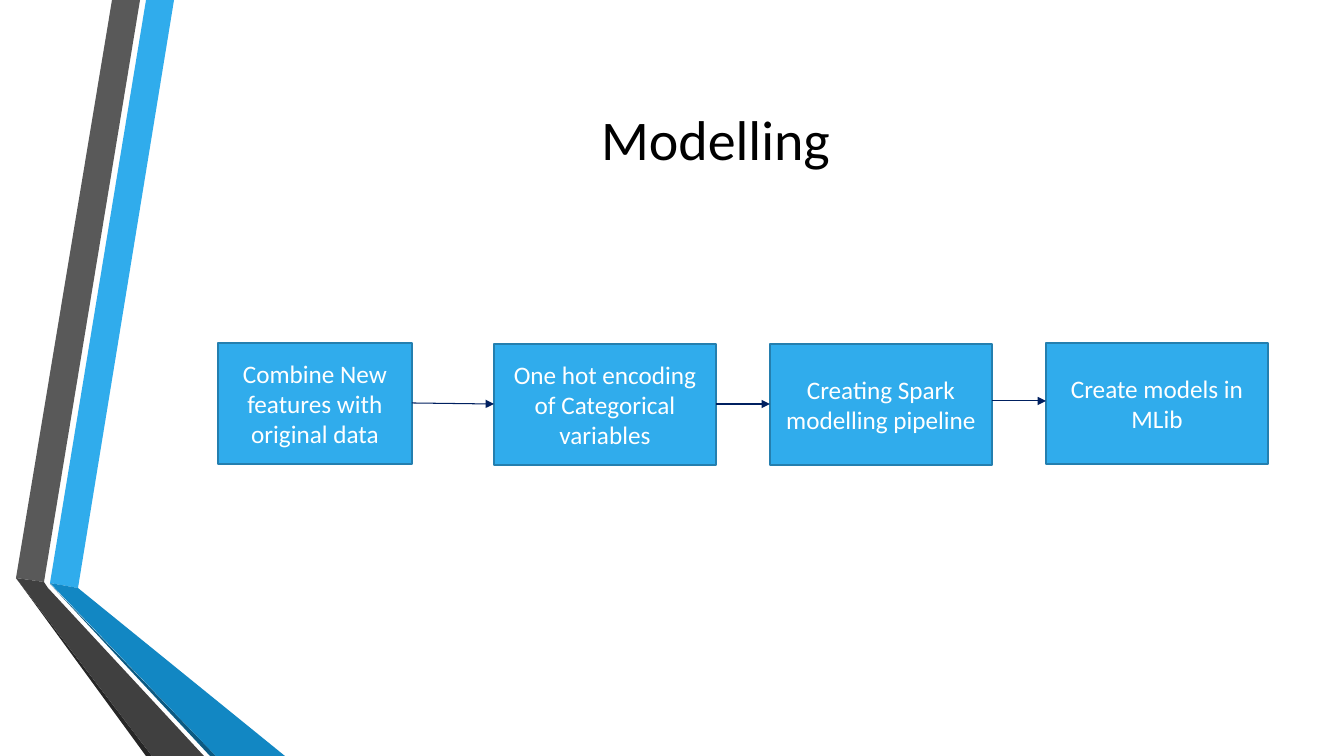
from pptx import Presentation
from pptx.dml.color import RGBColor
from pptx.enum.shapes import MSO_CONNECTOR, MSO_SHAPE
from pptx.enum.text import MSO_ANCHOR, PP_ALIGN
from pptx.oxml.ns import qn
from pptx.util import Pt
from lxml.etree import SubElement

SCALE = 914400 / 100.8
COLORS = {
    "sky": "30ACEC", "blue": "1287C3", "navy": "0C5A82", "edge": "247FAF",
    "gray": "595959", "dark": "404040", "coal": "262626",
    "arrow": "002060", "black": "000000", "white": "FFFFFF",
}
BANDS = [
    ("sky", [(50, 583), (78, 588), (174, 0), (146, 0)]),
    ("gray", [(140, 0), (112, 0), (16, 578), (44, 582)]),
    ("coal", [(16, 578), (146, 756), (152, 756)]),
    ("navy", [(50, 584), (210, 756), (216, 756)]),
    ("blue", [(50, 583), (216, 756), (285, 756), (78, 588)]),
    ("dark", [(16, 578), (152, 756), (204, 756), (48, 588), (44, 582)]),
]
STEPS = [
    ("Combine New features with original data", 194, 0),
    ("One hot encoding of Categorical variables", 222, 1),
    ("Creating Spark modelling pipeline", 222, 1),
    ("Create models in MLib", 222, 0),
]
LINKS = [(60, 61), (61, 61), (58, 58)]


def px(*sizes):
    return [round(size * SCALE) for size in sizes]


def color(name):
    return RGBColor.from_string(COLORS[name])


def write(shape, text, size, tone):
    frame = shape.text_frame
    frame.word_wrap = True
    frame.vertical_anchor = MSO_ANCHOR.MIDDLE
    para = frame.paragraphs[0]
    para.text = text
    para.alignment = PP_ALIGN.CENTER
    para.font.name = "Calibri"
    para.font.size = Pt(size)
    para.font.color.rgb = color(tone)


def add_bands(slide, left, top):
    for tone, points in BANDS:
        spots = [(left + x, top + y) for x, y in points]
        pen = slide.shapes.build_freeform(*spots[0], scale=SCALE)
        pen.add_line_segments(spots[1:], close=True)
        band = pen.convert_to_shape()
        band.shadow.inherit = False
        band.fill.solid()
        band.fill.fore_color.rgb = color(tone)
        band.line.fill.background()


def add_title(slide, left, top, width, height):
    title = slide.shapes.add_textbox(*px(left, top, width, height))
    write(title, "Modelling", 40, "black")


def add_step(slide, text, left, top, width, height):
    step = slide.shapes.add_shape(
        MSO_SHAPE.RECTANGLE, *px(left, top, width, height))
    step.shadow.inherit = False
    step.fill.solid()
    step.fill.fore_color.rgb = color("sky")
    step.line.color.rgb = color("edge")
    step.line.width = Pt(1.25)
    write(step, text, 18, "white")


def add_arrow(slide, *ends):
    arrow = slide.shapes.add_connector(MSO_CONNECTOR.STRAIGHT, *px(*ends))
    arrow.line.color.rgb = color("arrow")
    arrow.line.width = Pt(0.75)
    SubElement(arrow.line._get_or_add_ln(), qn("a:tailEnd"), type="triangle")
    SubElement(arrow._element.spPr, qn("a:effectLst"))


def add_flow(slide, left, top, width, height):
    last = STEPS[-1][1]
    pitch = (width - last) // (len(STEPS) - 1)
    for i, (text, wide, drop) in enumerate(STEPS):
        add_step(slide, text, left + i * pitch, top + drop, wide, height)
    for i, (start, end) in enumerate(LINKS):
        x = left + i * pitch
        add_arrow(slide, x + STEPS[i][1], top + start, x + pitch, top + end)


deck = Presentation()
deck.slide_width, deck.slide_height = px(1344, 756)
page = deck.slides.add_slide(deck.slide_layouts[6])
add_bands(page, 0, 0)
add_title(page, 163, 76, 1105, 125)
add_flow(page, 218, 343, 1050, 121)
deck.save("out.pptx")
